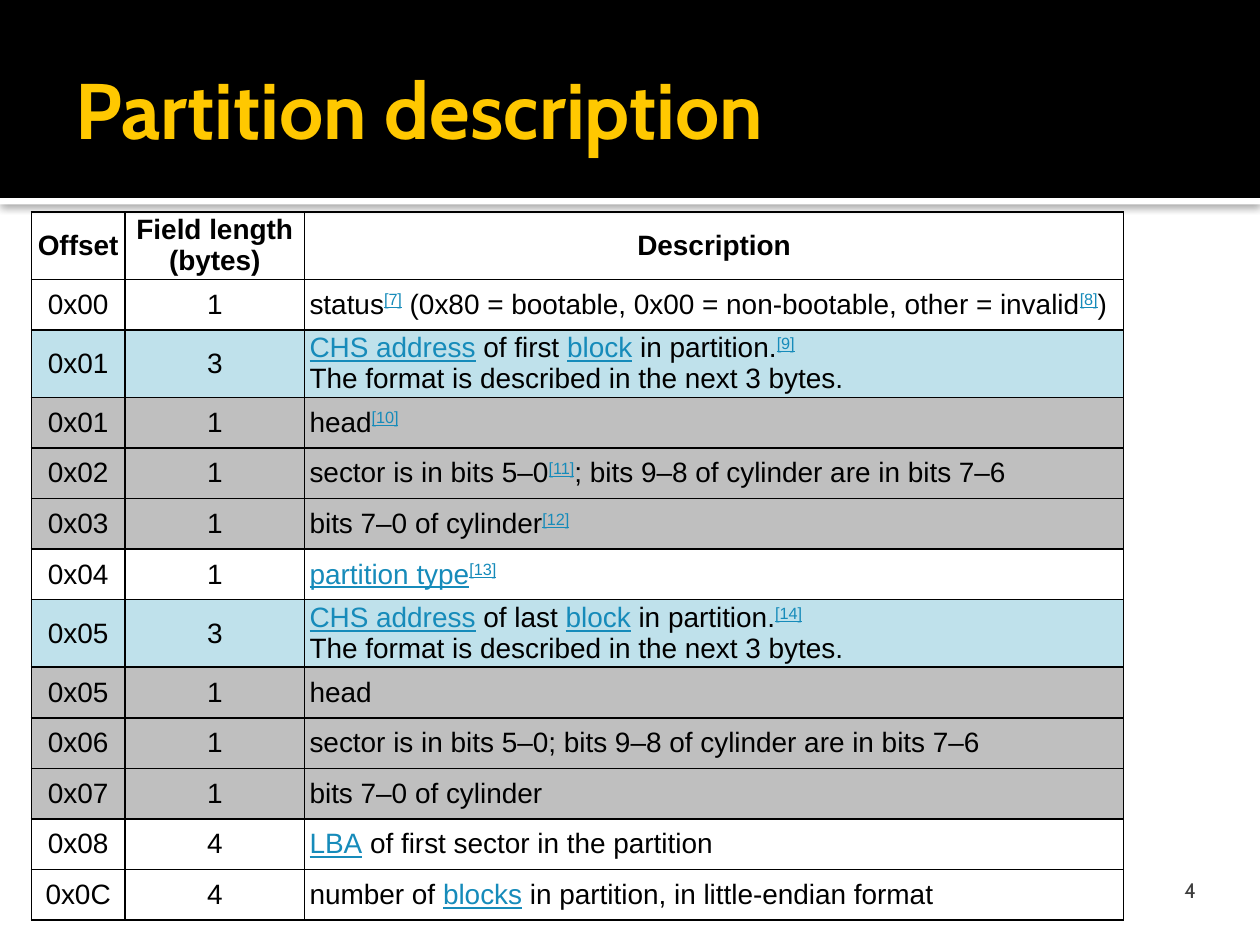
from copy import deepcopy

from lxml.etree import SubElement
from pptx import Presentation
from pptx.dml.color import RGBColor as Rgb
from pptx.enum.shapes import MSO_SHAPE as Shape
from pptx.enum.text import MSO_ANCHOR as Anchor, PP_ALIGN as Align
from pptx.oxml import parse_xml
from pptx.oxml.ns import nsdecls, qn
from pptx.util import Cm, Pt

HUES = {
    "black": "000000", "white": "FFFFFF", "gold": "FFC800", "link": "168BBA",
    "blue": "BFE1EB", "grey": "BFBFBF", "dark": "3F3F3F",
}

# Pieces of a text are parted by "|": "_" opens a link, "^" a raised note
ROWS = [
    ("Offset", "Field length\n(bytes)", "Description", None),
    ("0x00", "1", "status|^[7]| (0x80 = bootable, 0x00 = non-bootable, "
     "other = invalid|^[8]|)", None),
    ("0x01", "3", "_CHS address| of first |_block| in partition.|^[9]|"
     "\nThe format is described in the next 3 bytes.", "blue"),
    ("0x01", "1", "head|^[10]", "grey"),
    ("0x02", "1", "sector is in bits 5–0|^[11]|; bits 9–8 of cylinder "
     "are in bits 7–6", "grey"),
    ("0x03", "1", "bits 7–0 of cylinder|^[12]", "grey"),
    ("0x04", "1", "_partition type|^[13]", None),
    ("0x05", "3", "_CHS address| of last |_block| in partition.|^[14]|"
     "\nThe format is described in the next 3 bytes.", "blue"),
    ("0x05", "1", "head", "grey"),
    ("0x06", "1", "sector is in bits 5–0; bits 9–8 of cylinder are in "
     "bits 7–6", "grey"),
    ("0x07", "1", "bits 7–0 of cylinder", "grey"),
    ("0x08", "4", "_LBA| of first sector in the partition", None),
    ("0x0C", "4", "number of |_blocks| in partition, in little-endian format",
     None),
]


def rgb(name):
    return Rgb.from_string(HUES[name])


def write(frame, text, font="Arial", size=16, hue="black", bold=False,
          align=Align.LEFT, anchor=Anchor.MIDDLE, pad=(0.1, 0.05, 0.1, 0.05)):
    """Fill a text frame or a table cell with marked-up text."""
    (frame.margin_left, frame.margin_top,
     frame.margin_right, frame.margin_bottom) = map(Cm, pad)
    frame.vertical_anchor = anchor
    body = getattr(frame, "text_frame", frame)
    body.word_wrap = True
    para = body.paragraphs[0]
    para.alignment = align
    for piece in text.split("|"):
        mark = piece[0] if piece[0] in "_^" else ""
        for i, line in enumerate(piece[len(mark):].split("\n")):
            if i:
                para.add_line_break()
                # The break takes the format of the run before it
                last = para.runs[-1]._r
                para._p[-1].append(deepcopy(last.rPr))
            if not line:
                continue
            run = para.add_run()
            run.text = line
            run.font.name, run.font.size = font, Pt(size)
            run.font.bold = bold
            run.font.color.rgb = rgb("link" if mark else hue)
            if mark:
                run.font.underline = True
            if mark == "^":
                run._r.rPr.set("baseline", "30000")


class Deck:
    def __init__(self, wide, high):
        self.prs = Presentation()
        self.prs.slide_width, self.prs.slide_height = Cm(wide), Cm(high)
        self.slide = self.prs.slides.add_slide(self.prs.slide_layouts[5])
        self.shapes = self.slide.shapes

    def band(self, x, y, w, h, hue, shade=False):
        box = self.shapes.add_shape(Shape.RECTANGLE, Cm(x), Cm(y), Cm(w), Cm(h))
        box.shadow.inherit = False
        box.fill.solid()
        box.fill.fore_color.rgb = rgb(hue)
        box.line.fill.background()
        if shade:
            glow = box.element.spPr.find(qn("a:effectLst"))
            glow.append(parse_xml(
                f'<a:outerShdw {nsdecls("a")} blurRad="{Pt(5)}" '
                f'dist="{Pt(0.8)}" dir="5400000" rotWithShape="0">'
                f'<a:srgbClr val="{HUES["black"]}"><a:alpha val="60000"/>'
                '</a:srgbClr></a:outerShdw>'))

    def title(self, text, x, y, w, h, **style):
        box = self.shapes.title
        box.left, box.top, box.width, box.height = map(Cm, (x, y, w, h))
        write(box.text_frame, text, **style)
        # Bring the title in front of the bands
        box.element.getparent().append(box.element)

    def label(self, text, x, y, w, h, **style):
        box = self.shapes.add_textbox(Cm(x), Cm(y), Cm(w), Cm(h))
        write(box.text_frame, text, **style)

    def border(self, cell):
        props = cell._tc.get_or_add_tcPr()
        for i, side in enumerate(("lnL", "lnR", "lnT", "lnB")):
            line = parse_xml(f'<a:{side} {nsdecls("a")} w="{Pt(1)}"/>')
            fill = SubElement(line, qn("a:solidFill"))
            SubElement(fill, qn("a:srgbClr"), val=HUES["black"])
            props.insert(i, line)

    def table(self, rows, x, y, cols, low, tall):
        highs = [tall if "\n" in "".join(row[:3]) else low for row in rows]
        grid = self.shapes.add_table(len(rows), len(cols), Cm(x), Cm(y),
                                     Cm(sum(cols)), Cm(sum(highs))).table
        grid.first_row = grid.horz_banding = False
        for col, wide in zip(grid.columns, cols):
            col.width = Cm(wide)
        for r, (*texts, hue) in enumerate(rows):
            grid.rows[r].height = Cm(highs[r])
            for c, text in enumerate(texts):
                cell = grid.cell(r, c)
                mid = r == 0 or c < 2
                write(cell, text, bold=r == 0,
                      align=Align.CENTER if mid else Align.LEFT)
                if hue:
                    cell.fill.solid()
                    cell.fill.fore_color.rgb = rgb(hue)
                else:
                    cell.fill.background()
                self.border(cell)


def main():
    deck = Deck(25.4, 19.05)

    # Header bands and title
    deck.band(0, 3.99, 25.4, 0.13, "white", shade=True)
    deck.band(0, 0, 25.4, 3.99, "black")
    deck.title("Partition description", 1.27, 0.43, 22.86, 3.48, font="Cabin",
               size=45, hue="gold", bold=True, pad=(0.25, 0.13, 0.13, 0.13))

    # Field table
    deck.table(ROWS, 0.63, 4.27, (1.89, 3.62, 16.51), low=1.02, tall=1.36)

    # Slide number
    deck.label("4", 22.66, 16.74, 1.7, 1.45, font="Cabin", size=12, hue="dark",
               align=Align.RIGHT, anchor=Anchor.BOTTOM,
               pad=(0.25, 0.13, 0.25, 0))

    deck.prs.save("out.pptx")


if __name__ == "__main__":
    main()
